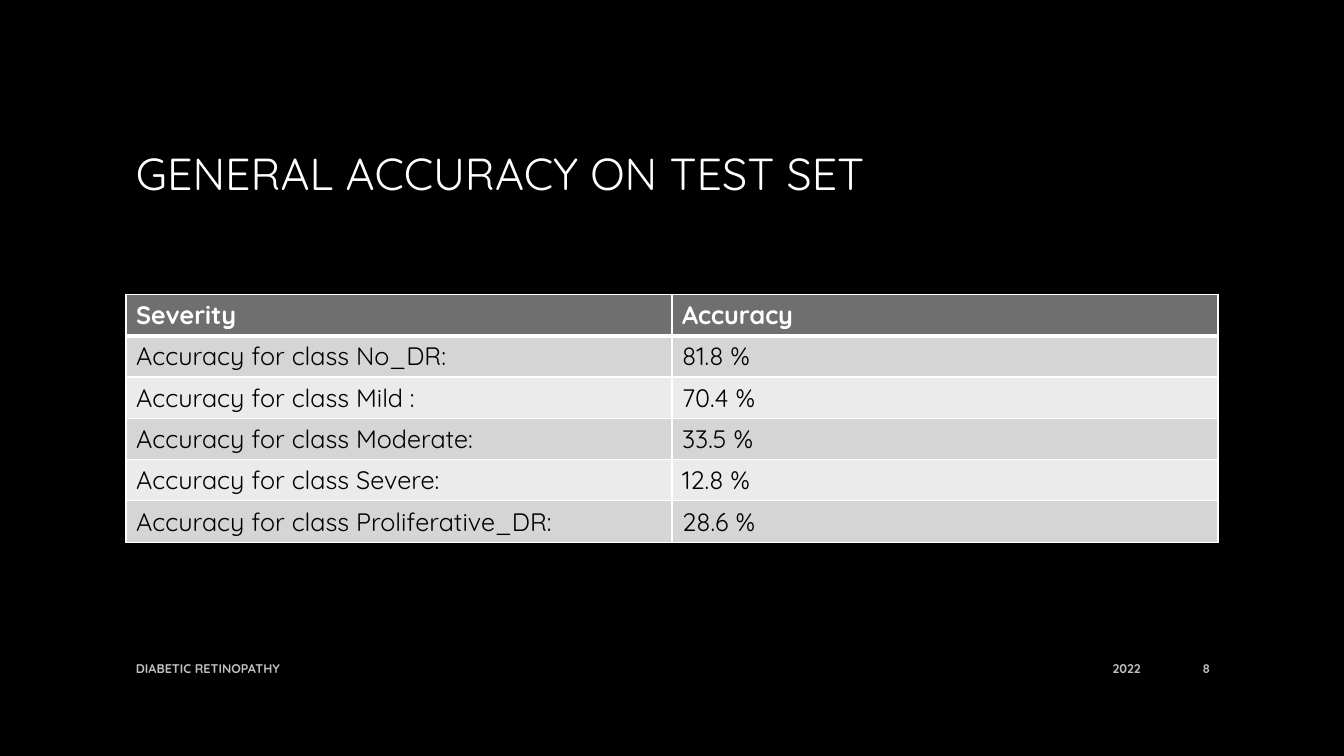
from lxml.etree import SubElement
from pptx import Presentation
from pptx.dml.color import RGBColor
from pptx.enum.text import MSO_ANCHOR, PP_ALIGN
from pptx.oxml.ns import qn
from pptx.util import Inches, Pt

FONT = "Quicksand"
COLORS = {
    "background": "000000",
    "white": "FFFFFF",
    "black": "000000",
    "footer": "BFBFBF",
    "header": "6F6F6F",
    "odd": "D5D5D5",
    "even": "EBEBEB",
}
ROWS = [
    ("Severity", "Accuracy"),
    ("Accuracy for class No_DR:", "81.8 %"),
    ("Accuracy for class Mild :", "70.4 %"),
    ("Accuracy for class Moderate:", "33.5 %"),
    ("Accuracy for class Severe:", "12.8 %"),
    ("Accuracy for class Proliferative_DR:", "28.6 %"),
]
LEFT, WIDTH = 1.25, 10.83
ROW_HEIGHT = 0.41
FOOTER_TOP, FOOTER_HEIGHT = 6.43, 0.4


def color(name):
    return RGBColor.from_string(COLORS[name])


def style_paragraph(para, size, color_name, bold=False):
    para.font.name = FONT
    para.font.size = Pt(size)
    para.font.bold = bold
    para.font.color.rgb = color(color_name)


def add_text(page, text, left, top, width, height, size, color_name,
             bold=False, align=PP_ALIGN.LEFT):
    box = page.shapes.add_textbox(
        Inches(left), Inches(top), Inches(width), Inches(height))
    frame = box.text_frame
    frame.word_wrap = True
    frame.vertical_anchor = MSO_ANCHOR.MIDDLE
    para = frame.paragraphs[0]
    para.text = text
    para.alignment = align
    style_paragraph(para, size, color_name, bold)


def add_footer(page, text, left, width, align=PP_ALIGN.RIGHT):
    add_text(page, text, left, FOOTER_TOP, width, FOOTER_HEIGHT, 9, "footer",
             bold=True, align=align)


def set_borders(cell, widths):
    """Draw white borders; widths maps the sides L, R, T, B to points."""
    properties = cell._tc.get_or_add_tcPr()
    for side, width in widths.items():
        line = SubElement(properties, qn(f"a:ln{side}"), w=str(Pt(width)))
        fill = SubElement(line, qn("a:solidFill"))
        SubElement(fill, qn("a:srgbClr"), val=COLORS["white"])


def add_accuracy_table(page):
    frame = page.shapes.add_table(
        len(ROWS), len(ROWS[0]), Inches(LEFT), Inches(2.92),
        Inches(WIDTH), Inches(ROW_HEIGHT * len(ROWS)))
    table = frame.table
    for row_index, texts in enumerate(ROWS):
        is_header = row_index == 0
        band = "header" if is_header else "odd" if row_index % 2 else "even"
        widths = {"L": 1, "R": 1, "T": 3 if row_index == 1 else 1,
                  "B": 3 if is_header else 1}
        for column_index, text in enumerate(texts):
            cell = table.cell(row_index, column_index)
            set_borders(cell, widths)
            cell.fill.solid()
            cell.fill.fore_color.rgb = color(band)
            cell.text = text
            style_paragraph(cell.text_frame.paragraphs[0], 18,
                            "white" if is_header else "black", is_header)


def main():
    deck = Presentation()
    deck.slide_width, deck.slide_height = Inches(13.33), Inches(7.5)
    page = deck.slides.add_slide(deck.slide_layouts[6])
    page.background.fill.solid()
    page.background.fill.fore_color.rgb = color("background")

    add_text(page, "GENERAL ACCURACY ON TEST SET", LEFT, 0.67, WIDTH, 2.08,
             32, "white")
    add_accuracy_table(page)
    add_footer(page, "DIABETIC RETINOPATHY", LEFT, 8.25, PP_ALIGN.LEFT)
    add_footer(page, "2022", 9.66, 1.75)
    add_footer(page, "8", 11.5, 0.6)

    deck.save("out.pptx")


if __name__ == "__main__":
    main()
